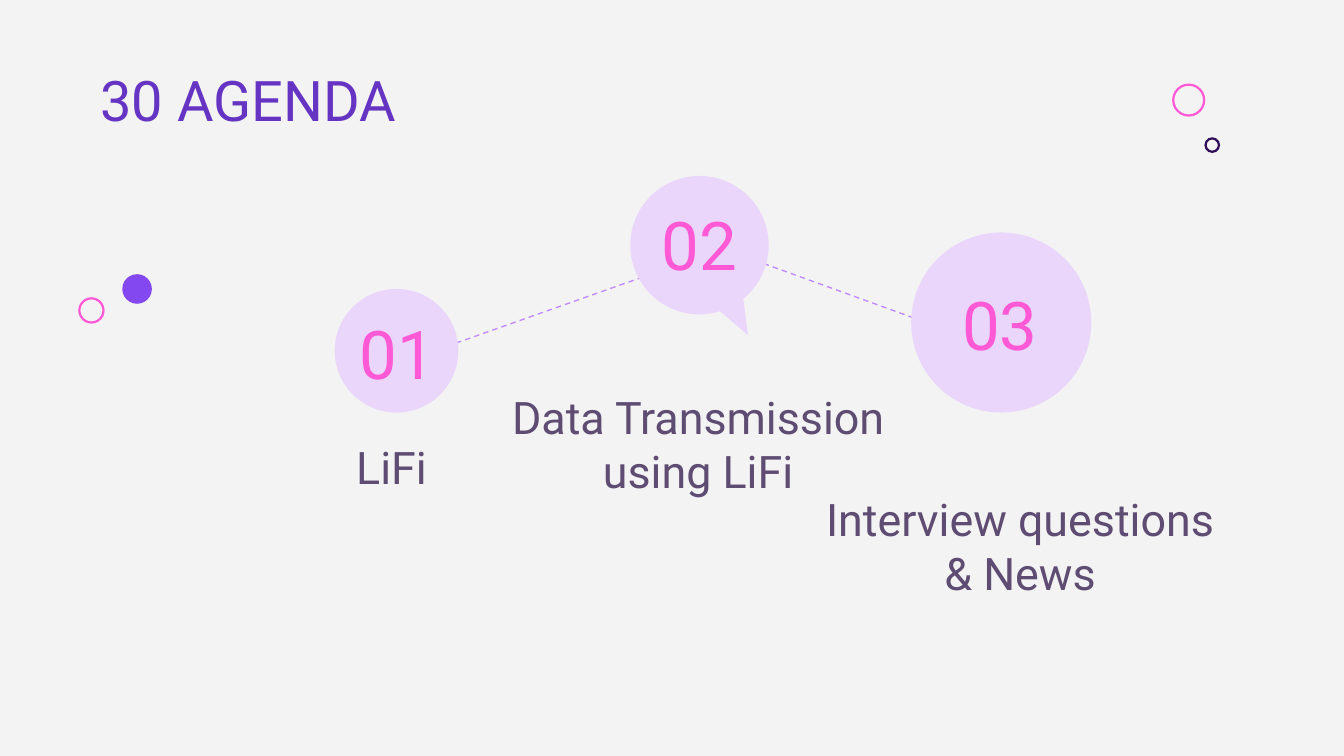
from lxml import etree
from pptx import Presentation
from pptx.dml.color import RGBColor
from pptx.enum.dml import MSO_LINE
from pptx.enum.shapes import MSO_CONNECTOR, MSO_SHAPE
from pptx.enum.text import MSO_ANCHOR, PP_ALIGN
from pptx.oxml.ns import qn
from pptx.util import Inches, Pt

OVAL = MSO_SHAPE.OVAL
BUBBLE = MSO_SHAPE.OVAL_CALLOUT
STRAIGHT = MSO_CONNECTOR.STRAIGHT
DASH = MSO_LINE.DASH
TOP, MIDDLE, BOTTOM = MSO_ANCHOR.TOP, MSO_ANCHOR.MIDDLE, MSO_ANCHOR.BOTTOM
LEFT, CENTER = PP_ALIGN.LEFT, PP_ALIGN.CENTER

FONT = "Roboto"
COLORS = {
    "background": "F3F3F3",
    "title": "6634C3",
    "topic": "5E4C72",
    "pink": "FF59D6",
    "lilac": "EAD5FB",
    "dash": "C08CFF",
    "violet": "8348F0",
    "navy": "300D59",
}

# Left, top, diameter, color
RINGS = [
    (8.73, 0.63, 0.23, "pink"),
    (8.97, 1.03, 0.1, "navy"),
    (0.59, 2.22, 0.18, "pink"),
]
# Start and end points
PATHS = [
    ((5.21, 1.79), (7.39, 2.58)),
    ((2.92, 2.72), (5.24, 1.9)),
]
# Left, top, diameter, preset shape
STEP_CIRCLES = [
    (2.49, 2.15, 0.92, OVAL),
    (4.69, 1.31, 1.03, BUBBLE),
    (6.78, 1.73, 1.34, OVAL),
]
# Text, box (left, top, width, height)
NUMBERS = [
    ("01", (2.56, 2.31, 0.79, 0.63)),
    ("02", (4.48, 1.5, 1.45, 0.63)),
    ("03", (6.78, 2.09, 1.32, 0.63)),
]
TOPICS = [
    ("LiFi ", (1.82, 2.84, 2.27, 0.93)),
    ("Interview questions & News", (6.04, 3.6, 3.1, 0.96)),
    ("Data Transmission using LiFi", (3.68, 3.09, 3.03, 0.71)),
]


def color(name):
    return RGBColor.from_string(COLORS[name])


def add_circle(slide, left, top, diameter, preset=OVAL):
    shape = slide.shapes.add_shape(
        preset, Inches(left), Inches(top), Inches(diameter), Inches(diameter))
    shape.shadow.inherit = False
    return shape


def add_disc(slide, left, top, diameter, fill, preset=OVAL):
    shape = add_circle(slide, left, top, diameter, preset)
    shape.fill.solid()
    shape.fill.fore_color.rgb = color(fill)
    shape.line.fill.background()
    return shape


def add_ring(slide, left, top, diameter, outline):
    shape = add_circle(slide, left, top, diameter)
    shape.fill.background()
    shape.line.color.rgb = color(outline)
    shape.line.width = Pt(1.2)


def add_dashed_line(slide, start, end):
    line = slide.shapes.add_connector(
        STRAIGHT, *(Inches(value) for value in start + end))
    line.line.color.rgb = color("dash")
    line.line.width = Pt(0.75)
    line.line.dash_style = DASH
    etree.SubElement(line._element.spPr, qn("a:effectLst"))


def add_text(slide, text, box, size, text_color, align=CENTER, anchor=MIDDLE):
    text_box = slide.shapes.add_textbox(*(Inches(value) for value in box))
    frame = text_box.text_frame
    frame.word_wrap = True
    frame.vertical_anchor = anchor
    frame.margin_left = frame.margin_right = Inches(0.1)
    frame.margin_top = frame.margin_bottom = Inches(0.1)
    frame.text = text
    paragraph = frame.paragraphs[0]
    paragraph.alignment = align
    font = paragraph.runs[0].font
    font.name = FONT
    font.size = Pt(size)
    font.color.rgb = color(text_color)


def main():
    presentation = Presentation()
    presentation.slide_width = Inches(10)
    presentation.slide_height = Inches(10) * 9 // 16
    slide = presentation.slides.add_slide(presentation.slide_layouts[6])
    slide.background.fill.solid()
    slide.background.fill.fore_color.rgb = color("background")

    for left, top, diameter, outline in RINGS:
        add_ring(slide, left, top, diameter, outline)
    add_disc(slide, 0.91, 2.04, 0.22, "violet")

    for start, end in PATHS:
        add_dashed_line(slide, start, end)

    add_text(slide, "30 AGENDA", (0.65, 0.39, 7.36, 0.71), 30, "title", LEFT, TOP)
    for text, box in TOPICS:
        add_text(slide, text, box, 24, "topic", anchor=BOTTOM)

    for left, top, diameter, preset in STEP_CIRCLES:
        disc = add_disc(slide, left, top, diameter, "lilac", preset)
        if preset == BUBBLE:
            # Tail tip, as a share of the size from the center
            disc.adjustments[0] = 0.35
            disc.adjustments[1] = 0.65
    for text, box in NUMBERS:
        add_text(slide, text, box, 36, "pink")

    presentation.save("out.pptx")


if __name__ == "__main__":
    main()
